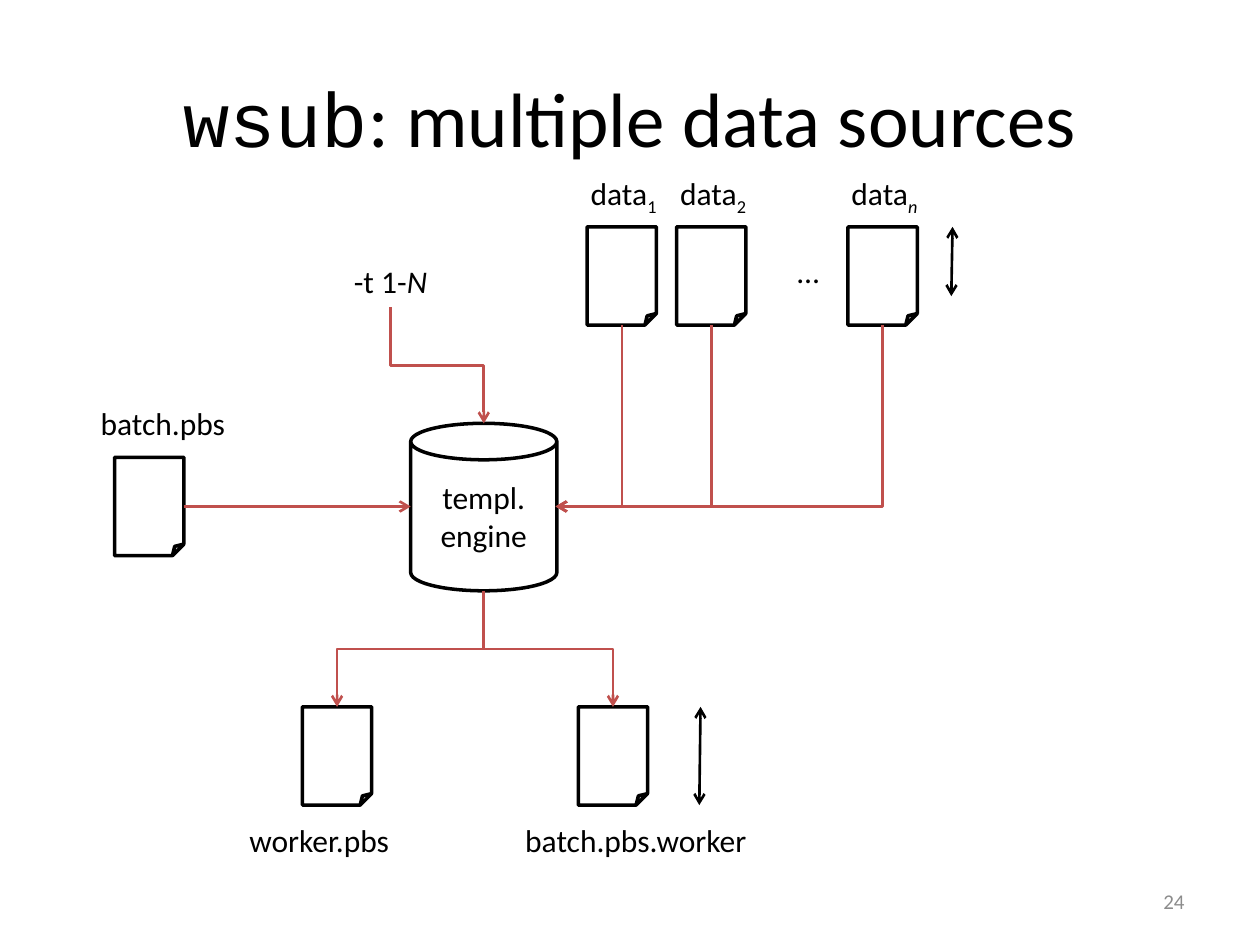
from lxml import etree
from pptx import Presentation
from pptx.dml.color import RGBColor
from pptx.enum.shapes import MSO_CONNECTOR as CONN, MSO_SHAPE as SHAPE
from pptx.enum.text import MSO_ANCHOR, MSO_AUTO_SIZE, PP_ALIGN
from pptx.oxml.ns import qn
from pptx.util import Inches, Pt

BLACK = RGBColor(0x00, 0x00, 0x00)
WHITE = RGBColor(0xFF, 0xFF, 0xFF)
RED = RGBColor(0xC0, 0x50, 0x4D)
GRAY = RGBColor(0x8C, 0x8C, 0x8C)
FILE_W, FILE_H = 0.55, 0.78

prs = Presentation()
prs.slide_width, prs.slide_height = Inches(10), Inches(7.5)
s = prs.slides.add_slide(prs.slide_layouts[5])


def add_run(p, text, font="Calibri", size=18, color=BLACK, italic=False, sub=False):
    r = p.add_run()
    r.text = text
    r.font.name, r.font.size = font, Pt(size)
    r.font.color.rgb = color
    if italic:
        r.font.italic = True
    if sub:
        r.font._element.set("baseline", "-25000")


def add_arrow(start, end, color=RED, elbow=None, both=False):
    """Arrow from start to end; elbow names a bent preset that leaves downwards."""
    (x1, y1), (x2, y2) = start, end
    rot = 0
    if elbow:
        # A bent preset leaves sideways, so lay it out flat and turn it about its centre
        cx, cy, dx, dy = (x1 + x2) / 2, (y1 + y2) / 2, abs(x2 - x1), y2 - y1
        rot, side = (270, 1) if x2 > x1 else (90, -1)
        x1, x2 = cx + side * dy / 2, cx - side * dy / 2
        y1, y2 = cy - dx / 2, cy + dx / 2
    c = s.shapes.add_connector(CONN.ELBOW if elbow else CONN.STRAIGHT,
                               Inches(x1), Inches(y1), Inches(x2), Inches(y2))
    c.line.color.rgb, c.line.width = color, Pt(1.5)
    spPr = c._element.spPr
    if elbow:
        spPr.find(qn("a:xfrm")).set("rot", str(rot * 60000))
        spPr.find(qn("a:prstGeom")).set("prst", elbow)
    ln = spPr.find(qn("a:ln"))
    for end_tag in ("a:headEnd", "a:tailEnd") if both else ("a:tailEnd",):
        etree.SubElement(ln, qn(end_tag)).set("type", "arrow")
    etree.SubElement(spPr, qn("a:effectLst"))
    return c


# Title
title = s.shapes.title
title.left, title.top, title.width, title.height = map(Inches, (0.5, 0.3, 9, 1.25))
p = title.text_frame.paragraphs[0]
add_run(p, "wsub", font="Courier New", size=44)
add_run(p, ": multiple data sources", size=44)

# Files
data_xs = (4.66, 5.37, 6.73)
out_xs = (2.4, 4.59)
files = []
for x, y in [(0.91, 3.63)] + [(x, 1.8) for x in data_xs] + [(x, 5.61) for x in out_xs]:
    sp = s.shapes.add_shape(SHAPE.FOLDED_CORNER, Inches(x), Inches(y),
                            Inches(FILE_W), Inches(FILE_H))
    sp.shadow.inherit = False
    sp.fill.solid()
    sp.fill.fore_color.rgb = WHITE
    sp.line.color.rgb, sp.line.width = BLACK, Pt(2)
    files.append(sp)
batch_file = files[0]

# Labels: left, top, width, text, italic tail, subscript tail
labels = [
    (0.7, 3.16, 1.2, "batch.pbs", "", ""),
    (2.71, 2.03, 0.79, "-t 1-", "N", ""),
    (6.23, 1.95, 0.38, "…", "", ""),
    (1.88, 6.47, 1.32, "worker.pbs", "", ""),
    (4.07, 6.47, 1.98, "batch.pbs.worker", "", ""),
]
labels += [(x - 0.07, 1.33, 0.74, "data", "", n) for x, n in zip(data_xs, "12n")]
for x, y, w, text, variable, sub in labels:
    tf = s.shapes.add_textbox(Inches(x), Inches(y), Inches(w), Inches(0.4)).text_frame
    tf.word_wrap = False
    tf.auto_size = MSO_AUTO_SIZE.SHAPE_TO_FIT_TEXT
    p = tf.paragraphs[0]
    add_run(p, text)
    if variable:
        add_run(p, variable, italic=True)
    if sub:
        add_run(p, sub, italic=sub == "n", sub=True)

# Template engine
engine = s.shapes.add_shape(SHAPE.CAN, Inches(3.26), Inches(3.36), Inches(1.16), Inches(1.33))
engine.shadow.inherit = False
engine.fill.background()
engine.line.color.rgb, engine.line.width = BLACK, Pt(2)
tf = engine.text_frame
tf.vertical_anchor = MSO_ANCHOR.MIDDLE
for p, text in zip((tf.paragraphs[0], tf.add_paragraph()), ("templ.", "engine")):
    p.alignment = PP_ALIGN.CENTER
    add_run(p, text)

# Flow into and out of the engine
add_arrow((1.46, 4.02), (3.26, 4.02)).begin_connect(batch_file, 3)
add_arrow((3.1, 2.44), (3.84, 3.36), elbow="bentConnector3")
for x in data_xs:
    add_arrow((x + FILE_W / 2, 1.8 + FILE_H), (4.41, 4.02), elbow="bentConnector2")
for x in out_xs:
    add_arrow((3.84, 4.69), (x + FILE_W / 2, 5.61), elbow="bentConnector3")

# Length markers
add_arrow((7.56, 1.8), (7.55, 2.35), color=BLACK, both=True)
add_arrow((5.56, 5.61), (5.55, 6.39), color=BLACK, both=True)

# Slide number
tf = s.shapes.add_textbox(Inches(7.17), Inches(6.95), Inches(2.33), Inches(0.4)).text_frame
tf.word_wrap = True
tf.vertical_anchor = MSO_ANCHOR.MIDDLE
p = tf.paragraphs[0]
p.alignment = PP_ALIGN.RIGHT
add_run(p, "24", size=12, color=GRAY)

prs.save("out.pptx")
